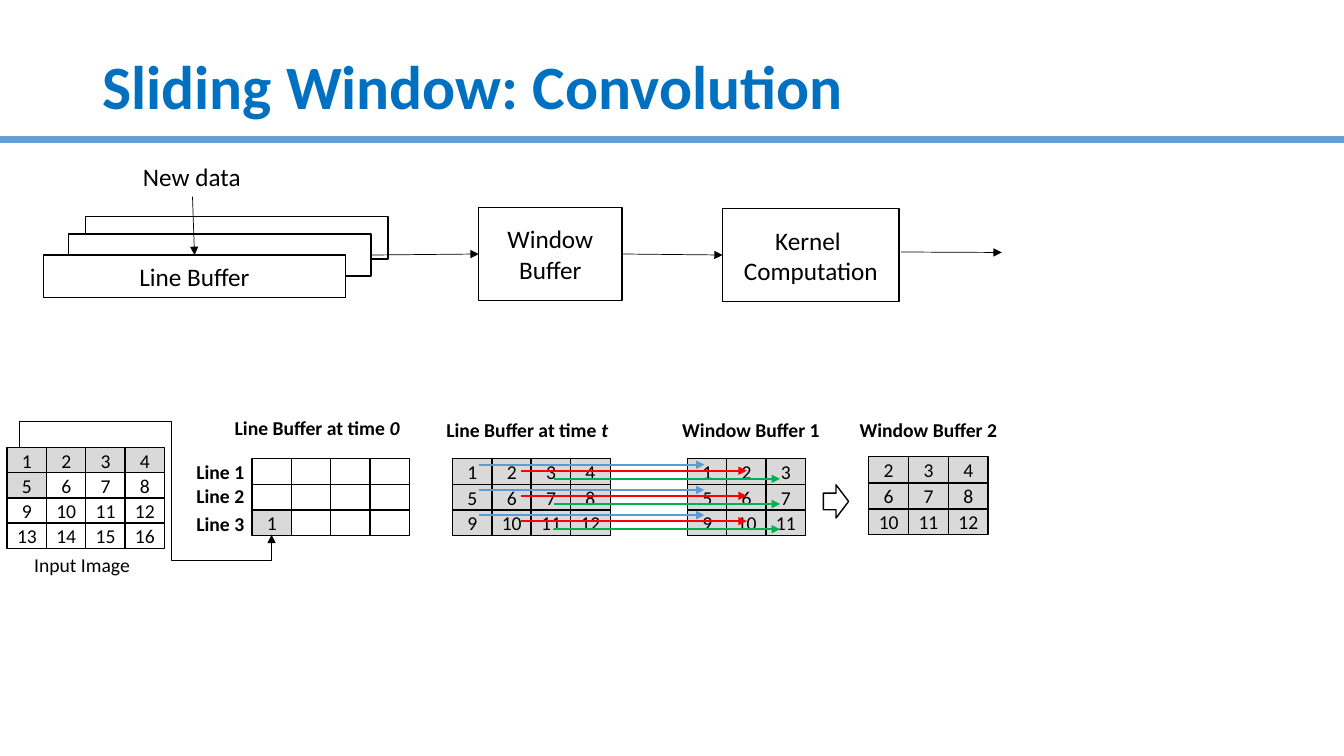
from dataclasses import dataclass
from lxml.etree import SubElement
from pptx import Presentation
from pptx.dml.color import RGBColor
from pptx.enum.shapes import MSO_CONNECTOR, MSO_SHAPE
from pptx.enum.text import MSO_ANCHOR, PP_ALIGN
from pptx.oxml.ns import qn
from pptx.util import Pt


@dataclass(frozen=True)
class Theme:
    font: str = "Calibri"
    ink: str = "000000"
    paper: str = "FFFFFF"
    shade: str = "D9D9D9"
    title: str = "0070C0"
    rule: str = "63A0D7"
    blue: str = "5B9BD5"
    red: str = "FF0000"
    green: str = "00B050"
    head: int = 44
    body: int = 18
    small: int = 14


T = Theme()
PX = 4572  # 200 px to the inch
RECT = MSO_SHAPE.RECTANGLE

deck = Presentation()
deck.slide_width, deck.slide_height = 2667 * PX, 1500 * PX
slide = deck.slides.add_slide(deck.slide_layouts[6])
shapes = slide.shapes


def box(area, lines=(), size=T.small, kind=None, fill=None, bold=False, color=T.ink):
    """Draw a preset shape, or a plain label if no kind is given."""
    place = [n * PX for n in area]
    if kind:
        item = shapes.add_shape(kind, *place)
        item.shadow.inherit = False
        item.line.color.rgb = RGBColor.from_string(T.ink)
        item.line.width = Pt(1)
        if fill:
            item.fill.solid()
            item.fill.fore_color.rgb = RGBColor.from_string(fill)
        else:
            item.fill.background()
    else:
        item = shapes.add_textbox(*place)
    frame = item.text_frame
    frame.word_wrap = bool(kind)
    if kind:
        frame.vertical_anchor = MSO_ANCHOR.MIDDLE
    for i, runs in enumerate(lines):
        para = frame.add_paragraph() if i else frame.paragraphs[0]
        para.alignment = PP_ALIGN.CENTER if kind else PP_ALIGN.LEFT
        for j, text in enumerate(runs):
            run = para.add_run()
            run.text = text
            run.font.name, run.font.size = T.font, Pt(size)
            run.font.bold, run.font.italic = bold, j > 0
            run.font.color.rgb = RGBColor.from_string(color)
    return item


def link(ends, color=T.ink, width=0.5, arrow=True, kind=MSO_CONNECTOR.STRAIGHT):
    """Draw a line, with an arrowhead at its end if asked."""
    item = shapes.add_connector(kind, *[n * PX for n in ends])
    item.line.color.rgb = RGBColor.from_string(color)
    item.line.width = Pt(width)
    if arrow:
        SubElement(item.line._get_or_add_ln(), qn("a:tailEnd"), type="triangle")
    SubElement(item._element.spPr, qn("a:effectLst"))
    return item


# Title and rule
link((2667, 276, 0, 276), T.rule, 5, arrow=False)
title = box((184, 80, 2300, 196), [["Sliding Window: Convolution"]], T.head,
            bold=True, color=T.title)
title.text_frame.word_wrap = True
title.text_frame.vertical_anchor = MSO_ANCHOR.MIDDLE
title.text_frame.paragraphs[0].line_spacing = 0.9

# Data flow: stacked line buffers, window buffer, kernel
box((170, 430, 600, 84), kind=RECT)
mid = box((136, 464, 600, 84), kind=RECT, fill=T.paper)
front = box((86, 506, 600, 84), [["Line Buffer"]], T.body, RECT, T.paper)
window = box((950, 412, 284, 184), [["Window Buffer"]], T.body, RECT, T.paper)
kernel = box((1434, 414, 350, 184), [["Kernel "], ["Computation"]],
             T.body, RECT, T.paper)
data = box((264, 310, 236, 80), [["New data"]], T.body)

joins = [
    (data, 2, front, 0, (382, 390, 386, 506)),
    (mid, 3, window, 1, (736, 506, 950, 504)),
    (window, 3, kernel, 1, (1234, 504, 1434, 506)),
]
for start, out, end, into, ends in joins:
    flow = link(ends)
    flow.begin_connect(start, out)
    flow.end_connect(end, into)
link((1788, 500, 1988, 501))

# Number grids: left, top, column step, row step, last shaded value, rows
image = [[str(4 * r + c) for c in range(1, 5)] for r in range(4)]
grids = [
    (1724, 906, 79, 52, 12, [row[1:] for row in image[:3]]),
    (1364, 910, 78, 51, 12, [row[:3] for row in image[:3]]),
    (898, 910, 78, 51, 12, image[:3]),
    (14, 888, 78, 50, 5, image),
    (500, 910, 78, 51, 12, [[""] * 4, [""] * 4, ["1", "", "", ""]]),
]
for left, top, dx, dy, last, rows in grids:
    for r, row in enumerate(rows):
        for c, text in enumerate(row):
            dark = text and int(text) <= last
            cell = box((left + c * dx, top + r * dy, 79, 51),
                       [[text]] if text else [], kind=RECT,
                       fill=T.shade if dark else T.paper)
            cell.text_frame.margin_left = cell.text_frame.margin_right = 0

# Labels of the grids
box((48, 1088, 232, 68), [["Input Image"]])
labels = [
    (446, 816, 370, ["Line Buffer at time ", "0"]),
    (866, 820, 364, ["Line Buffer at time ", "t"]),
    (1334, 820, 316, ["Window Buffer 1"]),
    (1686, 820, 316, ["Window Buffer 2"]),
    (370, 902, 136, ["Line 1"]),
    (370, 950, 136, ["Line 2"]),
    (370, 1006, 136, ["Line 3"]),
]
for x, y, w, runs in labels:
    box((x, y, w, 68), [runs], bold=True)

# Step from the first window to the second
box((1634, 962, 50, 66), kind=MSO_SHAPE.RIGHT_ARROW)

# Shifts from line buffer to window buffer, one colour a column
shifts = [(950, 922, T.blue), (1034, 934, T.red), (1100, 950, T.green)]
for x, y, color in shifts:
    for r in range(3):
        link((x, y + 50 * r, x + 448, y + 50 * r), color, 1.25)

# Route from the input image round to line 3
route = link((202, 724, 376, 1224), kind=MSO_CONNECTOR.ELBOW)
props = route._element.spPr
props.xfrm.set("rot", "16200000")
props.xfrm.set("flipH", "1")
geom = props.find(qn("a:prstGeom"))
geom.set("prst", "bentConnector5")
bends = geom.find(qn("a:avLst"))
if bends is None:
    bends = SubElement(geom, qn("a:avLst"))
for i, bend in enumerate((-28700, 60400, 128700), 1):
    SubElement(bends, qn("a:gd"), name=f"adj{i}", fmla=f"val {bend}")

deck.save("out.pptx")
